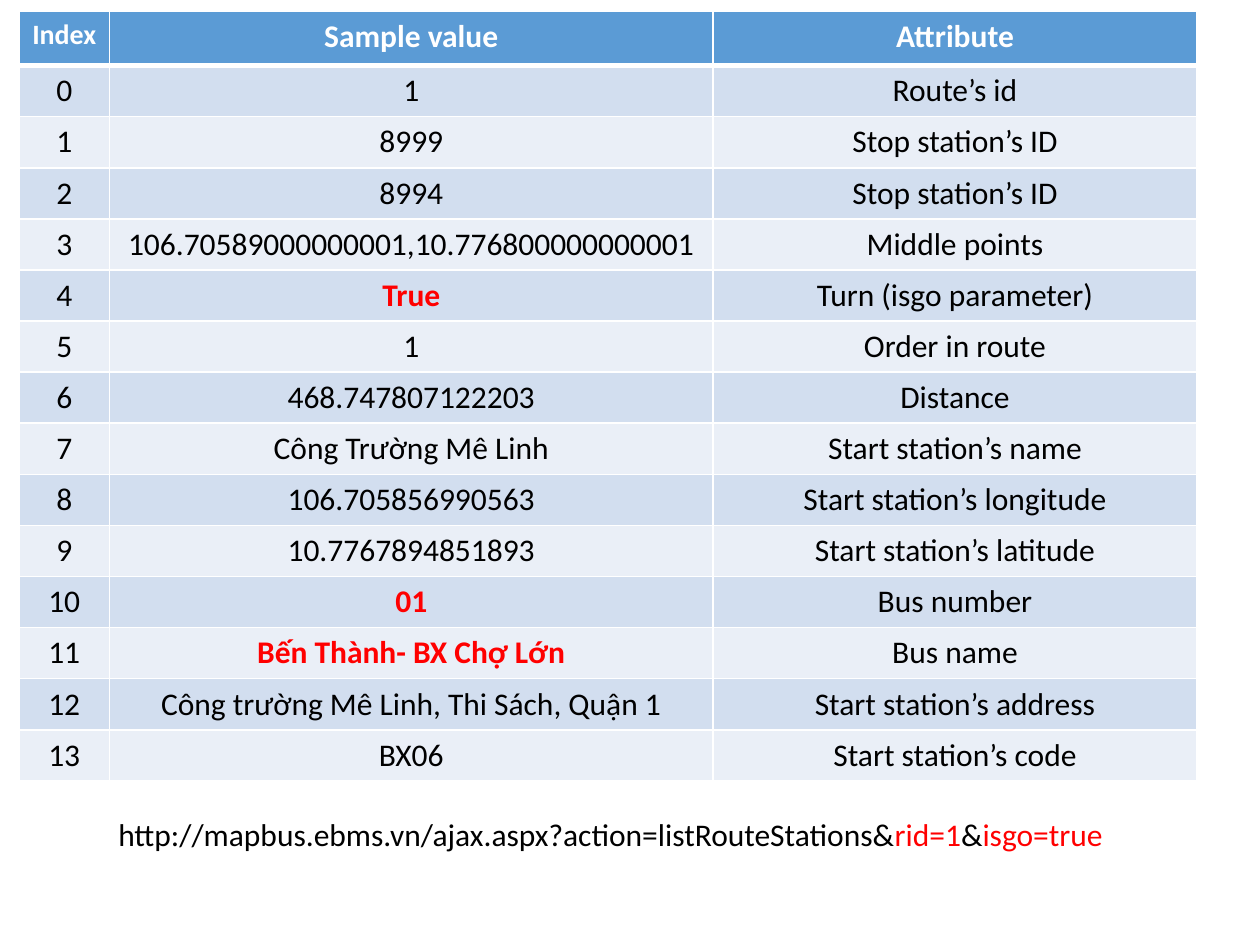
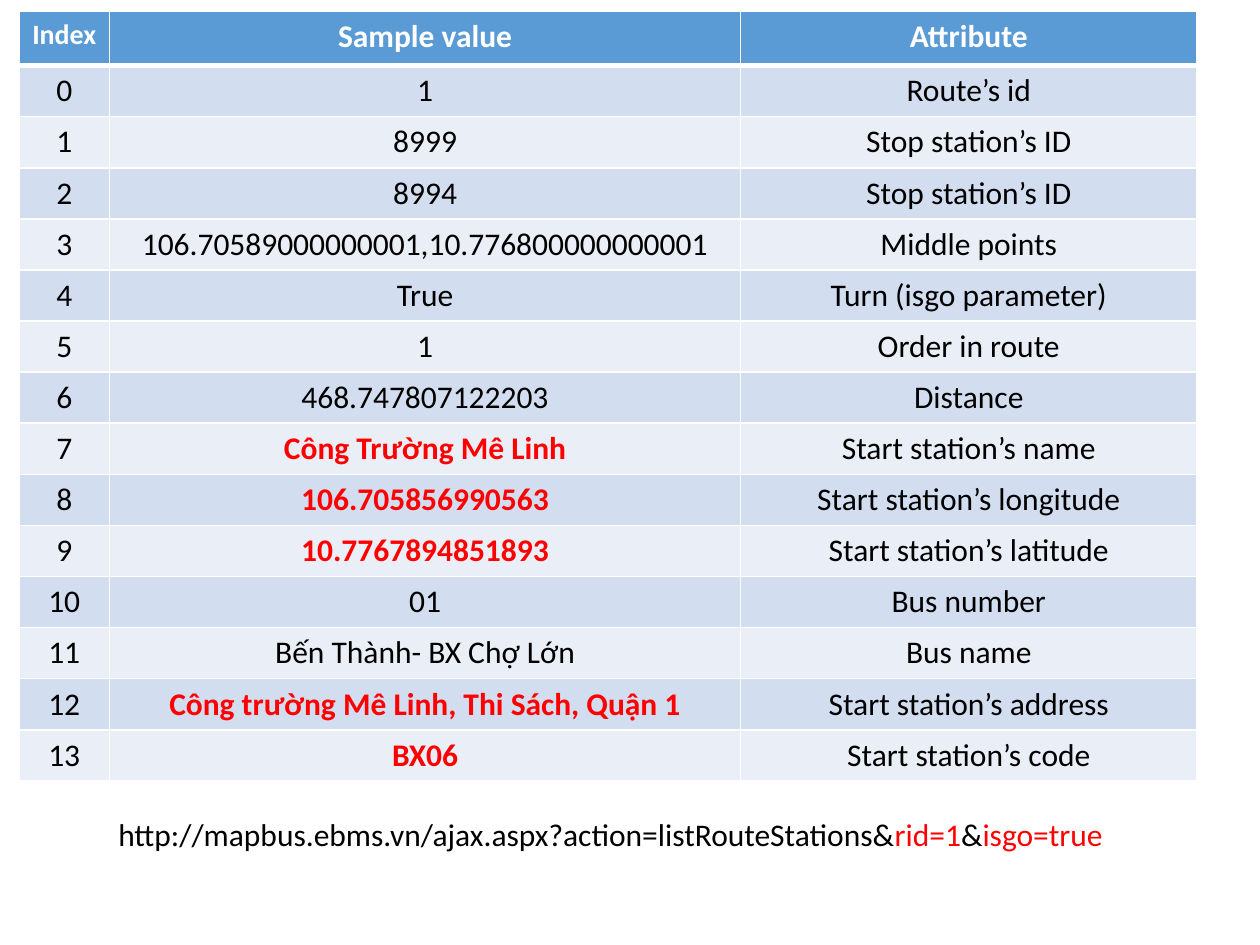
"""Build two slides that explain the fields of a bus route record."""
import pptx
import pptx.dml.color
import pptx.enum.text
import pptx.oxml
import pptx.oxml.ns
import pptx.util

Pt = pptx.util.Pt
RGBColor = pptx.dml.color.RGBColor

WHITE = RGBColor(0xFF, 0xFF, 0xFF)
BLACK = RGBColor(0x00, 0x00, 0x00)
RED = RGBColor(0xFF, 0x00, 0x00)
HEADER_BLUE = RGBColor(0x5B, 0x9B, 0xD5)
BAND_FILLS = (RGBColor(0xD2, 0xDE, 0xEF), RGBColor(0xEA, 0xEF, 0xF7))

TABLE_WIDTH = 673.2
INDEX_WIDTH = 51.8
HEADER_HEIGHT = 31
ROW_HEIGHT = 29.2

HEADERS = ("Index", "Sample value", "Attribute")
FIELDS = (
    ("1", "Route’s id"),
    ("8999", "Stop station’s ID"),
    ("8994", "Stop station’s ID"),
    ("106.70589000000001,10.776800000000001", "Middle points"),
    ("True", "Turn (isgo parameter)"),
    ("1", "Order in route"),
    ("468.747807122203", "Distance"),
    ("Công Trường Mê Linh", "Start station’s name"),
    ("106.705856990563", "Start station’s longitude"),
    ("10.7767894851893", "Start station’s latitude"),
    ("01", "Bus number"),
    ("Bến Thành- BX Chợ Lớn", "Bus name"),
    ("Công trường Mê Linh, Thi Sách, Quận 1", "Start station’s address"),
    ("BX06", "Start station’s code"),
)
REQUEST_PARTS = (
    ("http://mapbus.ebms.vn/ajax.aspx?action=listRouteStations&", BLACK),
    ("rid=1", RED),
    ("&", BLACK),
    ("isgo=true", RED),
)
SLIDES = (
    (344.9, {4, 10, 11}),
    (360.7, {7, 8, 9, 12, 13}),
)


class RouteDeck:
    """Hold the shared style and the current slide."""

    font_name = "Calibri"
    font_size = 18

    def __init__(self):
        self.presentation = pptx.Presentation()
        self.presentation.slide_width = Pt(720)
        self.presentation.slide_height = Pt(540)
        self.slide = None

    def add_slide(self):
        self.slide = self.presentation.slides.add_slide(self.presentation.slide_layouts[6])

    def add_run(self, paragraph, text, color, bold=False, size=font_size):
        run = paragraph.add_run()
        run.text = text
        run.font.name = self.font_name
        run.font.size = Pt(size)
        run.font.bold = bold
        run.font.color.rgb = color

    def set_borders(self, cell, top=1, bottom=1):
        properties = cell._tc.get_or_add_tcPr()
        widths = {"lnL": 1, "lnR": 1, "lnT": top, "lnB": bottom}
        for position, (side, width) in enumerate(widths.items()):
            border = pptx.oxml.parse_xml(
                f'<a:{side} {pptx.oxml.ns.nsdecls("a")} w="{Pt(width)}">'
                f'<a:solidFill><a:srgbClr val="{WHITE}"/></a:solidFill></a:{side}>'
            )
            properties.insert(position, border)

    def fill_cell(self, cell, text, fill, color, **font):
        cell.fill.solid()
        cell.fill.fore_color.rgb = fill
        paragraph = cell.text_frame.paragraphs[0]
        paragraph.alignment = pptx.enum.text.PP_ALIGN.CENTER
        self.add_run(paragraph, text, color, **font)

    def add_field_table(self, value_width, highlighted):
        height = HEADER_HEIGHT + ROW_HEIGHT * len(FIELDS)
        table = self.slide.shapes.add_table(
            len(FIELDS) + 1, len(HEADERS), Pt(10.8), Pt(6.5), Pt(TABLE_WIDTH), Pt(height)
        ).table
        widths = (INDEX_WIDTH, value_width, TABLE_WIDTH - INDEX_WIDTH - value_width)
        for column, width in zip(table.columns, widths):
            column.width = Pt(width)
        for row in table.rows:
            row.height = Pt(ROW_HEIGHT)
        table.rows[0].height = Pt(HEADER_HEIGHT)

        for column, header in enumerate(HEADERS):
            cell = table.cell(0, column)
            size = 16 if column == 0 else self.font_size
            self.fill_cell(cell, header, HEADER_BLUE, WHITE, bold=True, size=size)
            self.set_borders(cell, bottom=3)

        for index, field in enumerate(FIELDS):
            for column, text in enumerate((str(index), *field)):
                cell = table.cell(index + 1, column)
                marked = column == 1 and index in highlighted
                color = RED if marked else BLACK
                self.fill_cell(cell, text, BAND_FILLS[index % 2], color, bold=marked)
                self.set_borders(cell, top=3 if index == 0 else 1)

    def add_request_line(self):
        box = self.slide.shapes.add_textbox(Pt(60.5), Pt(462.2), Pt(589.7), Pt(29))
        box.text_frame.word_wrap = True
        box.text_frame.auto_size = pptx.enum.text.MSO_AUTO_SIZE.SHAPE_TO_FIT_TEXT
        for text, color in REQUEST_PARTS:
            self.add_run(box.text_frame.paragraphs[0], text, color)


def main():
    deck = RouteDeck()
    for value_width, highlighted in SLIDES:
        deck.add_slide()
        deck.add_field_table(value_width, highlighted)
        deck.add_request_line()
    deck.presentation.save("out.pptx")


if __name__ == "__main__":
    main()
